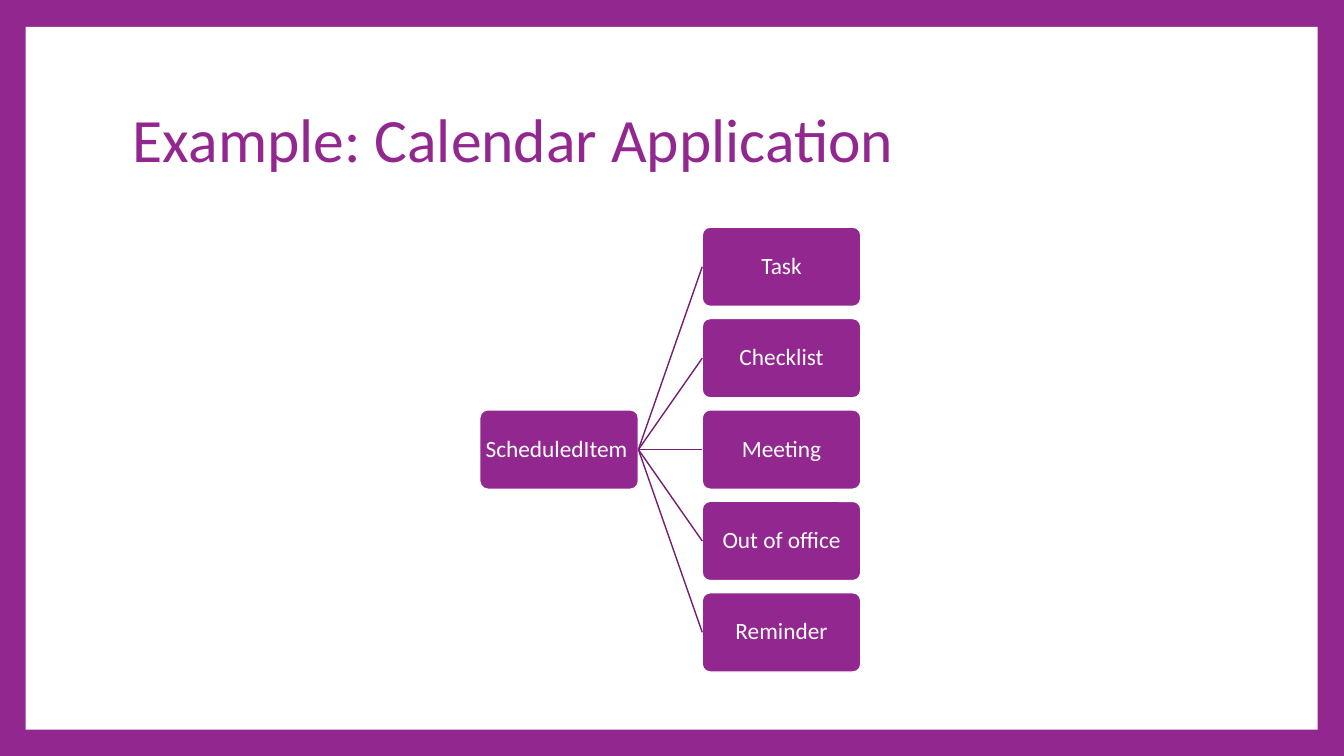
from lxml import etree
from pptx import Presentation
from pptx.dml.color import RGBColor
from pptx.enum import shapes, text
from pptx.oxml import ns
from pptx.util import Inches, Pt

PURPLE = "92278F"
DARK_PURPLE = "751F73"
WHITE = "FFFFFF"
FONT = "Calibri"


def color(value):
    return RGBColor.from_string(value)


def style_text(frame, size, tint):
    frame.word_wrap = True
    frame.vertical_anchor = text.MSO_ANCHOR.MIDDLE
    paragraph = frame.paragraphs[0]
    paragraph.line_spacing = 0.9
    for run in paragraph.runs:
        run.font.name = FONT
        run.font.size = Pt(size)
        run.font.color.rgb = color(tint)
    return paragraph


def add_frame(slide, left, top, width, height):
    slide.background.fill.solid()
    slide.background.fill.fore_color.rgb = color(PURPLE)
    panel = slide.shapes.add_shape(
        shapes.MSO_SHAPE.RECTANGLE, Inches(left), Inches(top), Inches(width), Inches(height))
    panel.shadow.inherit = False
    panel.fill.solid()
    panel.fill.fore_color.rgb = color(WHITE)
    panel.line.fill.background()


def add_title(slide, left, top, width, height, words):
    title = slide.shapes.add_textbox(Inches(left), Inches(top), Inches(width), Inches(height))
    title.text_frame.text = words
    style_text(title.text_frame, 66, PURPLE)


def add_node(slide, left, top, width, height, label):
    node = slide.shapes.add_shape(
        shapes.MSO_SHAPE.ROUNDED_RECTANGLE, Inches(left), Inches(top), Inches(width), Inches(height))
    node.adjustments[0] = 0.1
    node.shadow.inherit = False
    node.fill.solid()
    node.fill.fore_color.rgb = color(PURPLE)
    node.line.color.rgb = color(WHITE)
    node.line.width = Pt(1.5)
    frame = node.text_frame
    frame.margin_left = frame.margin_right = Inches(0.02)
    frame.margin_top = frame.margin_bottom = Inches(0.02)
    frame.text = label
    style_text(frame, 25, WHITE).alignment = text.PP_ALIGN.CENTER
    return node


def add_branch(slide, parent, child):
    branch = slide.shapes.add_connector(shapes.MSO_CONNECTOR.STRAIGHT, 0, 0, 0, 0)
    branch.begin_connect(parent, 3)
    branch.end_connect(child, 1)
    branch.line.color.rgb = color(DARK_PURPLE)
    branch.line.width = Pt(1.5)
    etree.SubElement(branch.element.spPr, ns.qn("a:effectLst"))


def add_hierarchy(slide, left, top, width, height, root, children):
    node_width, node_height = 2.36, 1.18
    step = (height - node_height) / (len(children) - 1)
    parent = add_node(
        slide, left, top + (height - node_height) / 2, node_width, node_height, root)
    for row, label in enumerate(children):
        child = add_node(
            slide, left + width - node_width, top + row * step, node_width, node_height, label)
        add_branch(slide, parent, child)


def main():
    deck = Presentation()
    deck.slide_width = Inches(20)
    deck.slide_height = Inches(11.25)
    slide = deck.slides.add_slide(deck.slide_layouts[6])
    add_frame(slide, 0.38, 0.4, 19.23, 10.46)
    add_title(slide, 1.88, 1, 16.2, 2.23, "Example: Calendar Application")
    add_hierarchy(
        slide, 7.14, 3.38, 5.67, 6.62, "ScheduledItem ",
        ["Task", "Checklist", "Meeting", "Out of office", "Reminder"])
    deck.save("out.pptx")


if __name__ == "__main__":
    main()
